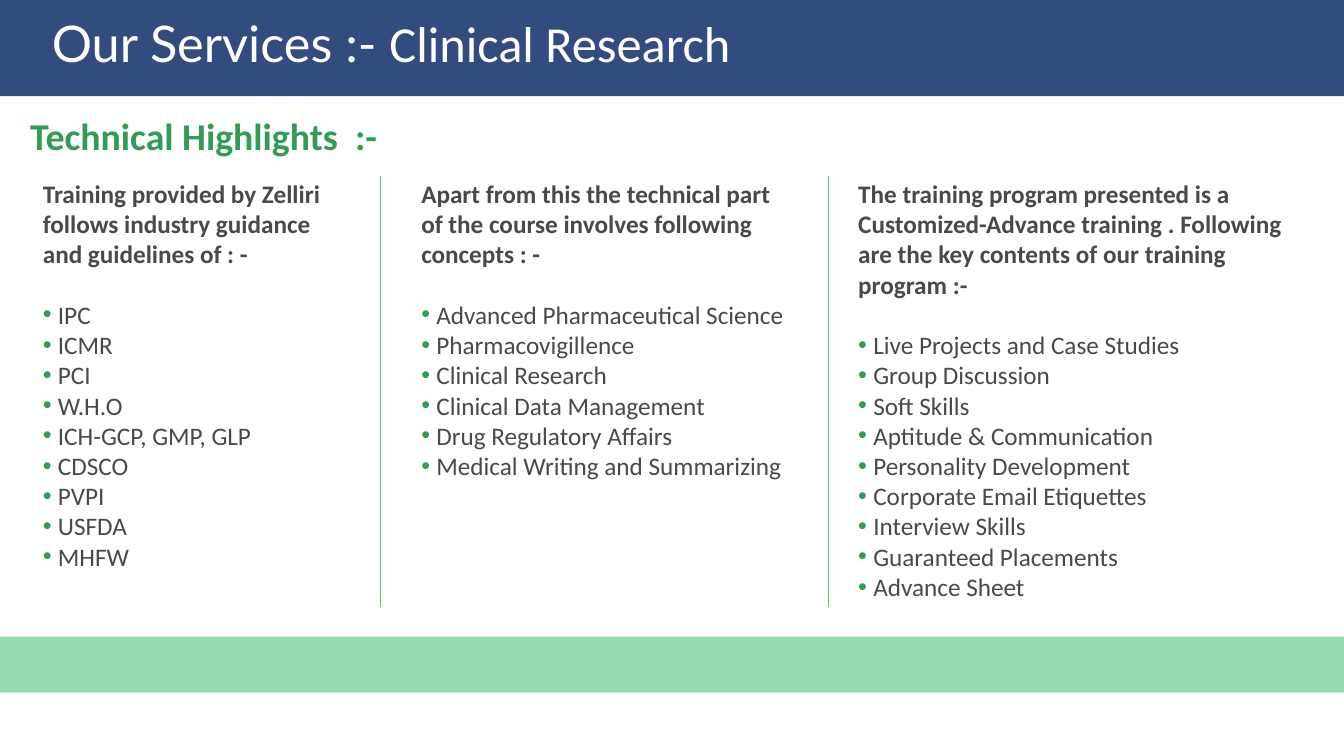
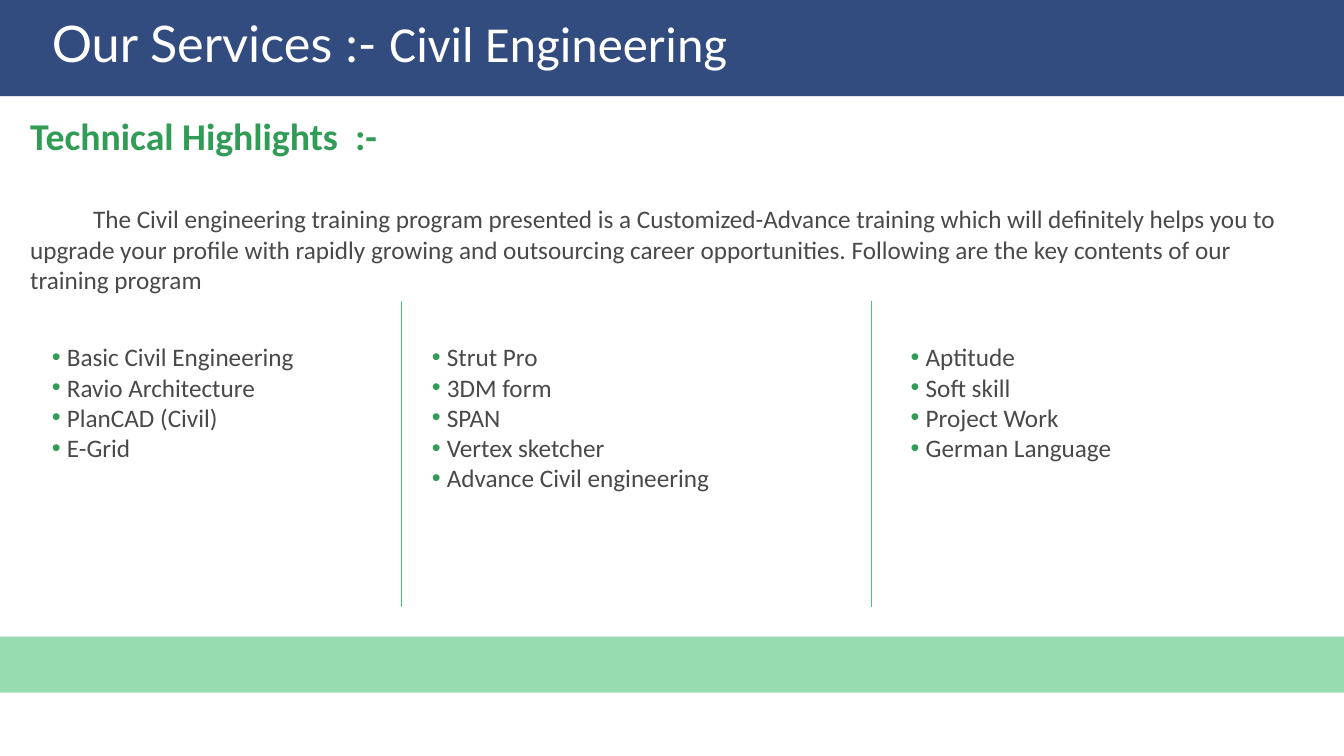
import pptx
import pptx.util
import pptx.dml.color
import pptx.enum.shapes
import pptx.enum.text
from lxml import etree
from pptx.util import Cm, Pt

# Shared look
PAGE_WIDTH, PAGE_HEIGHT = 67.73, 38.1
NAVY, MINT, GREEN, DIVIDER = "002060", "43C072", "319C56", "4BC676"
WHITE, GREY = "FFFFFF", "494949"
BODY_FONT = "Calibri"
TITLE_SIZE, HEADING_SIZE, BODY_SIZE = 72, 54, 36
LINE_HEIGHT = 1.52  # one body line, in cm
BULLET_INDENT = 0.76
DIVIDER_BOTTOM = 30.58
BANDS = [(0, 4.85, NAVY, 80), (32.09, 2.82, MINT, 55)]  # top, height, colour, opacity

# Each column: left, width, text rows, introduction, bullet items
pages = [
    {
        "service": "Clinical Research",
        "intro": None,
        "column_top": 8.86,
        "dividers": [19.16, 41.73],
        "divider_top": 8.88,
        "columns": [
            (1.91, 15.49, 14,
             "Training provided by Zelliri follows industry guidance and guidelines of : -",
             ["IPC", "ICMR", "PCI", "W.H.O", "ICH-GCP, GMP, GLP", "CDSCO", "PVPI",
              "USFDA", "MHFW"]),
            (20.98, 19.08, 10,
             "Apart from this the technical part of the course involves following concepts : -",
             ["Advanced Pharmaceutical Science", "Pharmacovigillence", "Clinical Research",
              "Clinical Data Management", "Drug Regulatory Affairs",
              "Medical Writing and Summarizing"]),
            (43, 22.53, 14,
             "The training program presented is a Customized-Advance training . "
             "Following are the key contents of our training program :-",
             ["Live Projects and Case Studies", "Group Discussion", "Soft Skills",
              "Aptitude & Communication", "Personality Development",
              "Corporate Email Etiquettes", "Interview Skills", "Guaranteed Placements",
              "Advance Sheet"]),
        ],
    },
    {
        "service": "Civil Engineering",
        "intro": "The Civil engineering training program presented is a Customized-Advance "
                 "training which will definitely helps you to upgrade your profile with rapidly "
                 "growing and outsourcing career opportunities. Following are the key contents "
                 "of our training program",
        "column_top": 17.09,
        "dividers": [20.24, 43.92],
        "divider_top": 15.17,
        "columns": [
            (2.36, 16.97, 5, None,
             ["Basic Civil Engineering", "Ravio Architecture", "PlanCAD (Civil)", "E-Grid"]),
            (21.51, 25.07, 6, None,
             ["Strut Pro", "3DM form", "SPAN", "Vertex sketcher", "Advance Civil engineering"]),
            (45.64, 18.82, 4, None,
             ["Aptitude", "Soft skill", "Project Work", "German Language"]),
        ],
    },
]


def colour(hex_string):
    return pptx.dml.color.RGBColor.from_string(hex_string)


def add_text(box, text, size, hex_string, bold=False, font=BODY_FONT, new=True):
    """Add a run, in a new paragraph unless the last one is to be continued."""
    frame = box.text_frame
    frame.word_wrap = True
    frame.auto_size = pptx.enum.text.MSO_AUTO_SIZE.SHAPE_TO_FIT_TEXT
    if new and frame.paragraphs[-1].runs:
        para = frame.add_paragraph()
    else:
        para = frame.paragraphs[-1]
    span = para.add_run()
    span.text = text
    span.font.name = font
    span.font.size = Pt(size)
    span.font.bold = bold
    span.font.color.rgb = colour(hex_string)
    return para


deck = pptx.Presentation()
deck.slide_width, deck.slide_height = Cm(PAGE_WIDTH), Cm(PAGE_HEIGHT)

for content in pages:
    page = deck.slides.add_slide(deck.slide_layouts[6])

    # Title and footer bands
    for top, height, fill, opacity in BANDS:
        band = page.shapes.add_shape(pptx.enum.shapes.MSO_SHAPE.RECTANGLE,
                                     0, Cm(top), Cm(PAGE_WIDTH), Cm(height))
        band.shadow.inherit = False
        band.line.fill.background()
        band.fill.solid()
        band.fill.fore_color.rgb = colour(fill)
        shade = band.fill._xPr.find(".//" + pptx.oxml.ns.qn("a:srgbClr"))
        etree.SubElement(shade, pptx.oxml.ns.qn("a:alpha"), val=str(opacity * 1000))

    # Title
    title = page.shapes.add_textbox(Cm(2.36), Cm(0.51), Cm(59.61), Cm(6.35))
    add_text(title, "Our Services :- ", TITLE_SIZE, WHITE, font="Lato")
    add_text(title, content["service"], TITLE_SIZE, WHITE, new=False)

    # Heading, with the introduction below it
    heading = page.shapes.add_textbox(Cm(1.27), Cm(5.56), Cm(65.07),
                                      Cm(9.4 if content["intro"] else 4.83))
    add_text(heading, "Technical Highlights  :-", HEADING_SIZE, GREEN, bold=True)
    if content["intro"]:
        para = add_text(heading, content["intro"], BODY_SIZE, GREY)
        para.space_before = Pt(65)
        para._p.get_or_add_pPr().set("indent", str(Cm(3.17)))

    # Columns of bullets
    for left, width, rows, lead, items in content["columns"]:
        column = page.shapes.add_textbox(Cm(left), Cm(content["column_top"]), Cm(width),
                                         Cm(rows * LINE_HEIGHT + 0.25))
        if lead:
            para = add_text(column, lead, BODY_SIZE, GREY, bold=True)
            para.space_after = Pt(43)
        for item in items:
            para = add_text(column, item, BODY_SIZE, GREY)
            settings = para._p.get_or_add_pPr()
            settings.set("marL", str(Cm(BULLET_INDENT)))
            settings.set("indent", str(-Cm(BULLET_INDENT)))
            bullet_colour = etree.SubElement(settings, pptx.oxml.ns.qn("a:buClr"))
            etree.SubElement(bullet_colour, pptx.oxml.ns.qn("a:srgbClr"), val=GREEN)
            etree.SubElement(settings, pptx.oxml.ns.qn("a:buFont"), typeface="Arial")
            etree.SubElement(settings, pptx.oxml.ns.qn("a:buChar"), char="•")

    # Dividers between the columns
    for left in content["dividers"]:
        divider = page.shapes.add_connector(pptx.enum.shapes.MSO_CONNECTOR.STRAIGHT,
                                            Cm(left), Cm(content["divider_top"]),
                                            Cm(left), Cm(DIVIDER_BOTTOM))
        divider.line.color.rgb = colour(DIVIDER)
        divider.line.width = Pt(0.5)
        etree.SubElement(divider._element.spPr, pptx.oxml.ns.qn("a:effectLst"))

deck.save("out.pptx")
